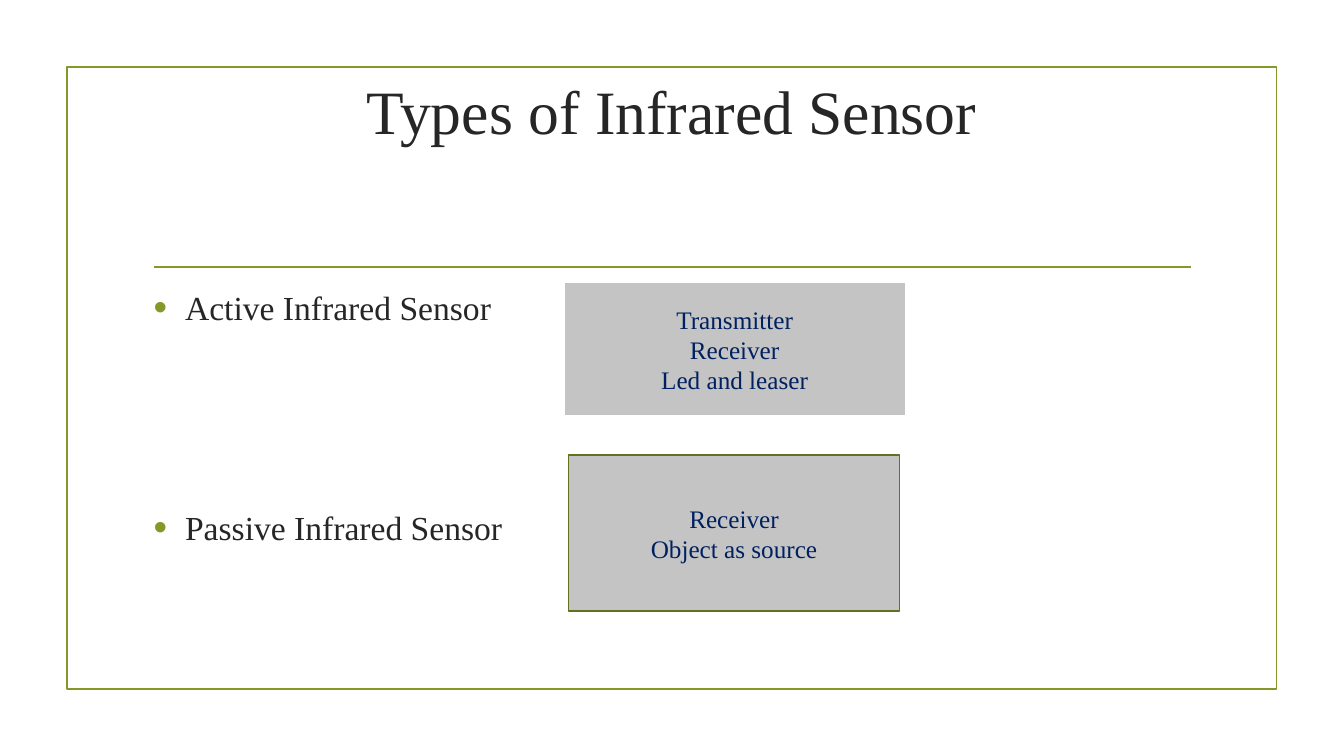
from dataclasses import dataclass
from lxml.etree import SubElement
from pptx import Presentation
from pptx.dml.color import RGBColor
from pptx.enum.shapes import MSO_CONNECTOR, MSO_SHAPE
from pptx.enum.text import MSO_ANCHOR, MSO_AUTO_SIZE, PP_ALIGN
from pptx.oxml.ns import qn
from pptx.util import Pt


@dataclass(frozen=True)
class Theme:
    font: str = "Times New Roman"
    ink: str = "262626"
    navy: str = "002060"
    olive: str = "83992A"
    dark_olive: str = "61711F"
    grey: str = "C4C4C4"
    white: str = "FFFFFF"
    title: int = 44
    body: int = 24
    detail: int = 18
    stroke: float = 1.25


theme = Theme()


def style_text(paragraph, size, color, align):
    paragraph.alignment = align
    paragraph.font.name = theme.font
    paragraph.font.size = Pt(size)
    paragraph.font.color.rgb = RGBColor.from_string(color)


def add_box(left, top, width, height, line_color):
    box = slide.shapes.add_shape(
        MSO_SHAPE.RECTANGLE, Pt(left), Pt(top), Pt(width), Pt(height))
    box.shadow.inherit = False
    box.line.color.rgb = RGBColor.from_string(line_color)
    box.line.width = Pt(theme.stroke)
    return box


deck = Presentation()
deck.slide_width, deck.slide_height = Pt(960), Pt(540)
slide = deck.slides.add_slide(deck.slide_layouts[1])

border = add_box(47.8, 48, 864, 444.3, theme.olive)
border.fill.background()

divider = slide.shapes.add_connector(
    MSO_CONNECTOR.STRAIGHT, Pt(110), Pt(190.8), Pt(850.5), Pt(190.8))
divider.line.color.rgb = RGBColor.from_string(theme.olive)
divider.line.width = Pt(theme.stroke)
SubElement(divider._element.spPr, qn("a:effectLst"))

heading = slide.shapes.title
heading.left, heading.top, heading.width, heading.height = Pt(66), Pt(26.6), Pt(828), Pt(104.4)
heading.text_frame.text = "Types of Infrared Sensor"
heading.text_frame.vertical_anchor = MSO_ANCHOR.MIDDLE
heading.text_frame.auto_size = MSO_AUTO_SIZE.NONE
style_text(heading.text_frame.paragraphs[0], theme.title, theme.ink, PP_ALIGN.CENTER)

sensors = slide.placeholders[1]
sensors.left, sensors.top, sensors.width, sensors.height = Pt(102.5), Pt(201.6), Pt(756), Pt(261.4)
sensors.text_frame.text = "Active Infrared Sensor\nPassive Infrared Sensor"
sensors.text_frame.auto_size = MSO_AUTO_SIZE.NONE
for sensor, gap in zip(sensors.text_frame.paragraphs, (0, 122)):
    style_text(sensor, theme.body, theme.ink, PP_ALIGN.LEFT)
    sensor.space_before, sensor.space_after = Pt(gap), Pt(6)
    layout = sensor._p.get_or_add_pPr()
    layout.set("marL", str(Pt(22.5)))
    layout.set("indent", str(Pt(-22.5)))
    bullet_color = SubElement(layout, qn("a:buClr"))
    SubElement(bullet_color, qn("a:srgbClr"), val=theme.olive)
    SubElement(layout, qn("a:buSzPct"), val="115000")
    SubElement(layout, qn("a:buFont"), typeface="Arial")
    SubElement(layout, qn("a:buChar"), char="•")
    layout.append(layout.find(qn("a:defRPr")))

details = (
    ((402.8, 201.6, 244, 95.8), theme.white, "Transmitter\nReceiver\nLed and leaser"),
    ((406, 325, 236.6, 111.5), theme.dark_olive, "Receiver\nObject as source"),
)
for place, outline, parts in details:
    detail = add_box(*place, outline)
    detail.fill.solid()
    detail.fill.fore_color.rgb = RGBColor.from_string(theme.grey)
    detail.text_frame.text = parts
    detail.text_frame.vertical_anchor = MSO_ANCHOR.MIDDLE
    for part in detail.text_frame.paragraphs:
        style_text(part, theme.detail, theme.navy, PP_ALIGN.CENTER)

deck.save("out.pptx")
